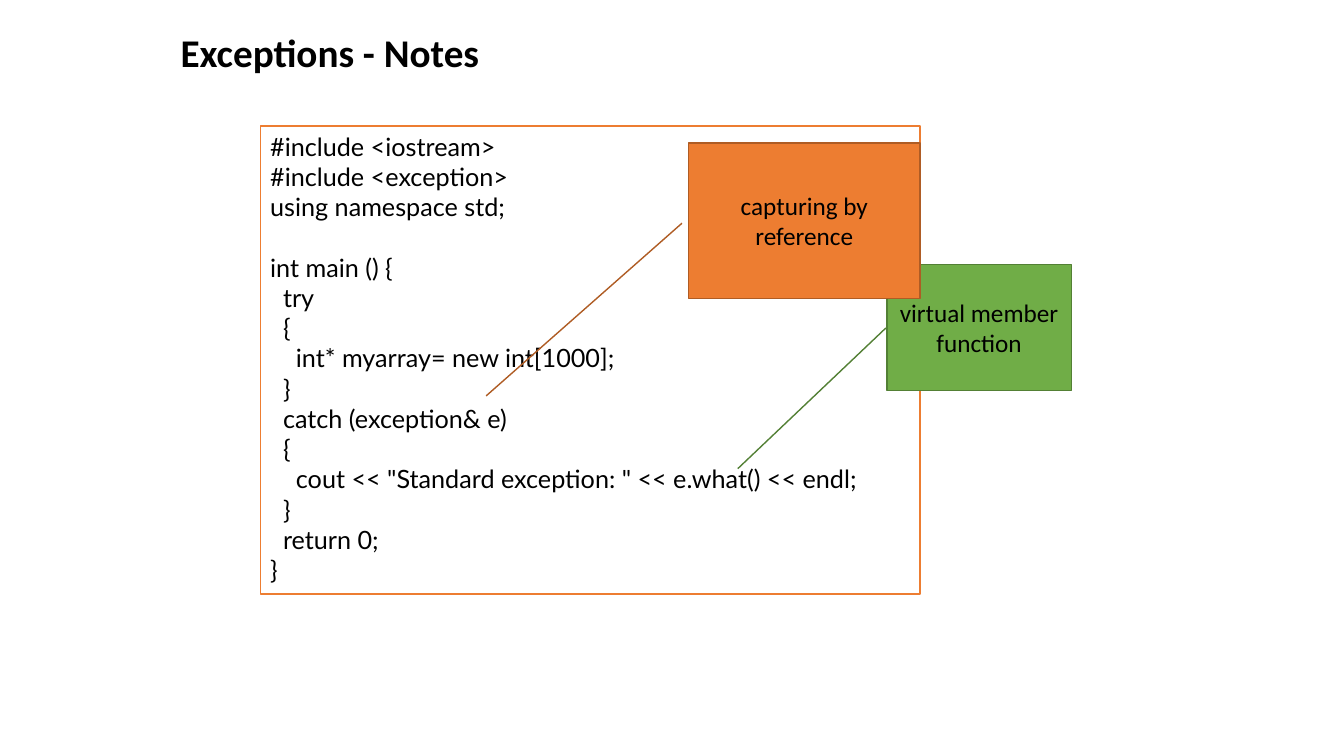
import pptx
import pptx.dml.color
import pptx.enum.shapes
import pptx.enum.text
import pptx.util

Cm, Pt = pptx.util.Cm, pptx.util.Pt
MSO_SHAPE = pptx.enum.shapes.MSO_SHAPE
MSO_ANCHOR = pptx.enum.text.MSO_ANCHOR
PP_ALIGN = pptx.enum.text.PP_ALIGN

TITLE = "Exceptions - Notes"
CODE = """#include <iostream>
#include <exception>
using namespace std;

int main () {
  try
  {
    int* myarray= new int[1000];
  }
  catch (exception& e)
  {
    cout << "Standard exception: " << e.what() << endl;
  }
  return 0;
}"""
# text, (left, top, width, height) in cm, fill, line, pointer (start y, x, end y, x)
CALLOUTS = [
    ("virtual member function", (22.35, 6.66, 4.65, 3.18), "70AD47", "538035",
     (0.505, -0.005, 1.62, -0.808)),
    ("capturing by reference", (17.35, 3.6, 5.84, 3.92), "ED7D31", "AF5C24",
     (0.517, -0.028, 1.627, -0.873)),
]


def color(hex_code):
    return pptx.dml.color.RGBColor.from_string(hex_code)


def write(shape, text, font_name, size, align, anchor, bold=False):
    frame = shape.text_frame
    frame.text = text
    frame.word_wrap = True
    frame.vertical_anchor = anchor
    for paragraph in frame.paragraphs:
        paragraph.alignment = align
        paragraph.font.name = font_name
        paragraph.font.size = Pt(size)
        paragraph.font.bold = bold
        paragraph.font.color.rgb = color("000000")


def add_box(slide, kind, bounds, fill, line):
    box = slide.shapes.add_shape(kind, *map(Cm, bounds))
    box.shadow.inherit = False
    box.fill.solid()
    box.fill.fore_color.rgb = color(fill)
    box.line.color.rgb = color(line)
    box.line.width = Pt(1)
    return box


def main():
    deck = pptx.Presentation()
    deck.slide_width, deck.slide_height = Cm(33.87), Cm(19.05)
    slide = deck.slides.add_slide(deck.slide_layouts[6])

    title = slide.shapes.add_textbox(Cm(4.3), Cm(0), Cm(22.86), Cm(2.74))
    write(title, TITLE, "Calibri", 28, PP_ALIGN.LEFT, MSO_ANCHOR.MIDDLE, bold=True)
    title.text_frame.paragraphs[0].line_spacing = 0.9

    listing = add_box(slide, MSO_SHAPE.RECTANGLE, (6.56, 3.18, 16.63, 11.79),
                      "FFFFFF", "ED7D31")
    write(listing, CODE, "Lato", 18, PP_ALIGN.LEFT, MSO_ANCHOR.TOP)

    for text, bounds, fill, line, pointer in CALLOUTS:
        callout = add_box(slide, MSO_SHAPE.LINE_CALLOUT_1, bounds, fill, line)
        for index, value in enumerate(pointer):
            callout.adjustments[index] = value
        write(callout, text, "Calibri", 18, PP_ALIGN.CENTER, MSO_ANCHOR.MIDDLE)

    deck.save("out.pptx")


if __name__ == "__main__":
    main()
